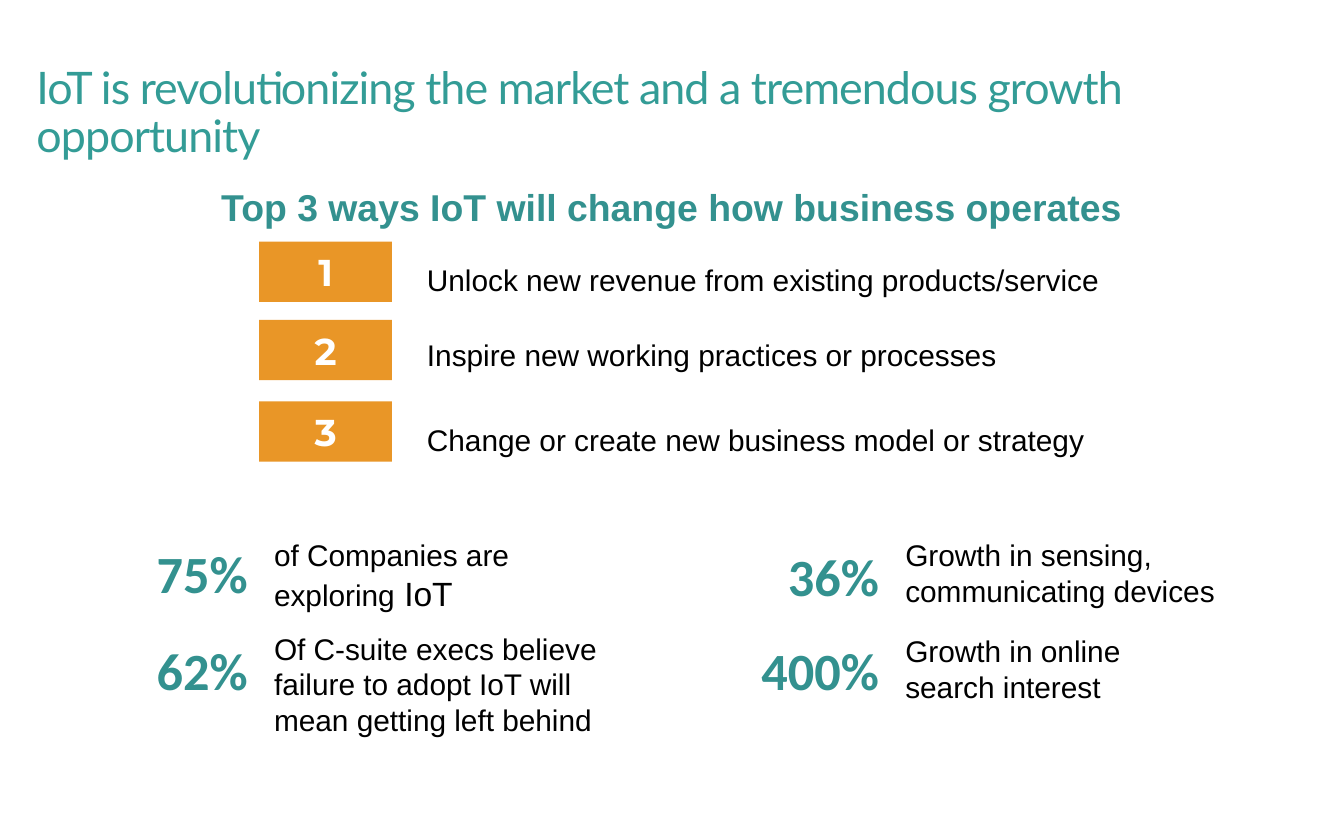
"""Build the slide on how IoT changes business."""
from pptx import Presentation
from pptx.dml.color import RGBColor
from pptx.enum.shapes import MSO_SHAPE
from pptx.enum.text import MSO_ANCHOR, MSO_AUTO_SIZE, PP_ALIGN
from pptx.util import Cm, Pt

RECT = MSO_SHAPE.RECTANGLE
MIDDLE = MSO_ANCHOR.MIDDLE
GROW = MSO_AUTO_SIZE.SHAPE_TO_FIT_TEXT
LEFT, CENTER, RIGHT = PP_ALIGN.LEFT, PP_ALIGN.CENTER, PP_ALIGN.RIGHT

TITLE = "IoT is revolutionizing the market and a tremendous growth opportunity"
HEADING = "Top 3 ways IoT will change how business operates"
WAYS = [
    ("Unlock new revenue from existing products/service", 4.57, 4.83),
    ("Inspire new working practices or processes", 6.05, 6.25),
    ("Change or create new business model or strategy", 7.59, 7.85),
]
# (number, its top and width), (text runs, their left, top, width and height)
STATS = [
    (("75%", 10.11, 4.5),
     ([("of Companies are exploring", 16), (" IoT", 18)], 4.93, 10.03, 6.83, 1.7)),
    (("62%", 11.94, 4.5),
     ([("Of C-suite execs believe failure to adopt IoT will mean getting left behind", 16)],
      4.93, 11.79, 6.83, 2.31)),
    (("36%", 10.16, 4.5),
     ([("Growth in sensing, communicating devices", 16)], 16.86, 10.03, 6.43, 1.63)),
    (("400%", 11.94, 4.78),
     ([("Growth in online search interest", 16)], 16.86, 11.84, 6.15, 1.63)),
]
ORANGE = "E99627"
TITLE_FONT = {"name": "Lato", "color": "339C96"}
HEADING_FONT = {"name": "Arial", "color": "33918F", "bold": True}
BADGE_FONT = {"name": "Montserrat", "color": "FFFFFF", "bold": True}
NUMBER_FONT = {"name": "Calibri", "color": "33918F", "bold": True}
BODY_FONT = {"name": "Arial", "color": "000000"}


def rgb(value):
    """Return the colour for a hex string."""
    return RGBColor.from_string(value)


def write(tf, runs, font, align):
    """Write runs of (text, size) into the first paragraph."""
    tf.word_wrap = True
    p = tf.paragraphs[0]
    p.alignment = align
    for text, size in runs:
        r = p.add_run()
        r.text = text
        r.font.size = Pt(size)
        for key, value in font.items():
            if key == "color":
                r.font.color.rgb = rgb(value)
            else:
                setattr(r.font, key, value)
    return p


def add_text(shapes, box, runs, font, align=LEFT):
    """Add a text box that grows with its text."""
    sp = shapes.add_textbox(*map(Cm, box))
    p = write(sp.text_frame, runs, font, align)
    sp.text_frame.auto_size = GROW
    return sp.text_frame, p


def add_title(shapes):
    """Add the tightly set title."""
    tf, p = add_text(shapes, (0.51, 1.14, 24.46, 2.03), [(TITLE, 24)], TITLE_FONT)
    for side, inset in {"left": 0.18, "right": 0.18, "top": 0.1, "bottom": 0.1}.items():
        setattr(tf, f"margin_{side}", Cm(inset))
    p.line_spacing = 0.9
    p.runs[0]._r.get_or_add_rPr().set("spc", "-50")


def add_badge(shapes, number, top):
    """Add a numbered orange rectangle."""
    sp = shapes.add_shape(RECT, *map(Cm, (4.9, top, 2.51, 1.14)))
    sp.shadow.inherit = False
    sp.fill.solid()
    sp.fill.fore_color.rgb = rgb(ORANGE)
    sp.line.fill.background()
    sp.text_frame.vertical_anchor = MIDDLE
    write(sp.text_frame, [(str(number), 20)], BADGE_FONT, CENTER)


def main():
    """Build and save the presentation."""
    prs = Presentation()
    prs.slide_width, prs.slide_height = Cm(25.4), Cm(15.88)
    s = prs.slides.add_slide(prs.slide_layouts[6])
    add_title(s.shapes)
    add_text(s.shapes, (3.81, 3.35, 17.78, 1.12), [(HEADING, 20)], HEADING_FONT, CENTER)
    for number, (text, badge_top, text_top) in enumerate(WAYS, 1):
        add_badge(s.shapes, number, badge_top)
        add_text(s.shapes, (7.82, text_top, 15.44, 0.94), [(text, 16)], BODY_FONT)
    for (number, top, width), (runs, left, *rest) in STATS:
        group = s.shapes.add_group_shape().shapes
        add_text(group, (left - width, top, width, 1.45), [(number, 28)], NUMBER_FONT, RIGHT)
        add_text(group, (left, *rest), runs, BODY_FONT)
    prs.save("out.pptx")


if __name__ == "__main__":
    main()
